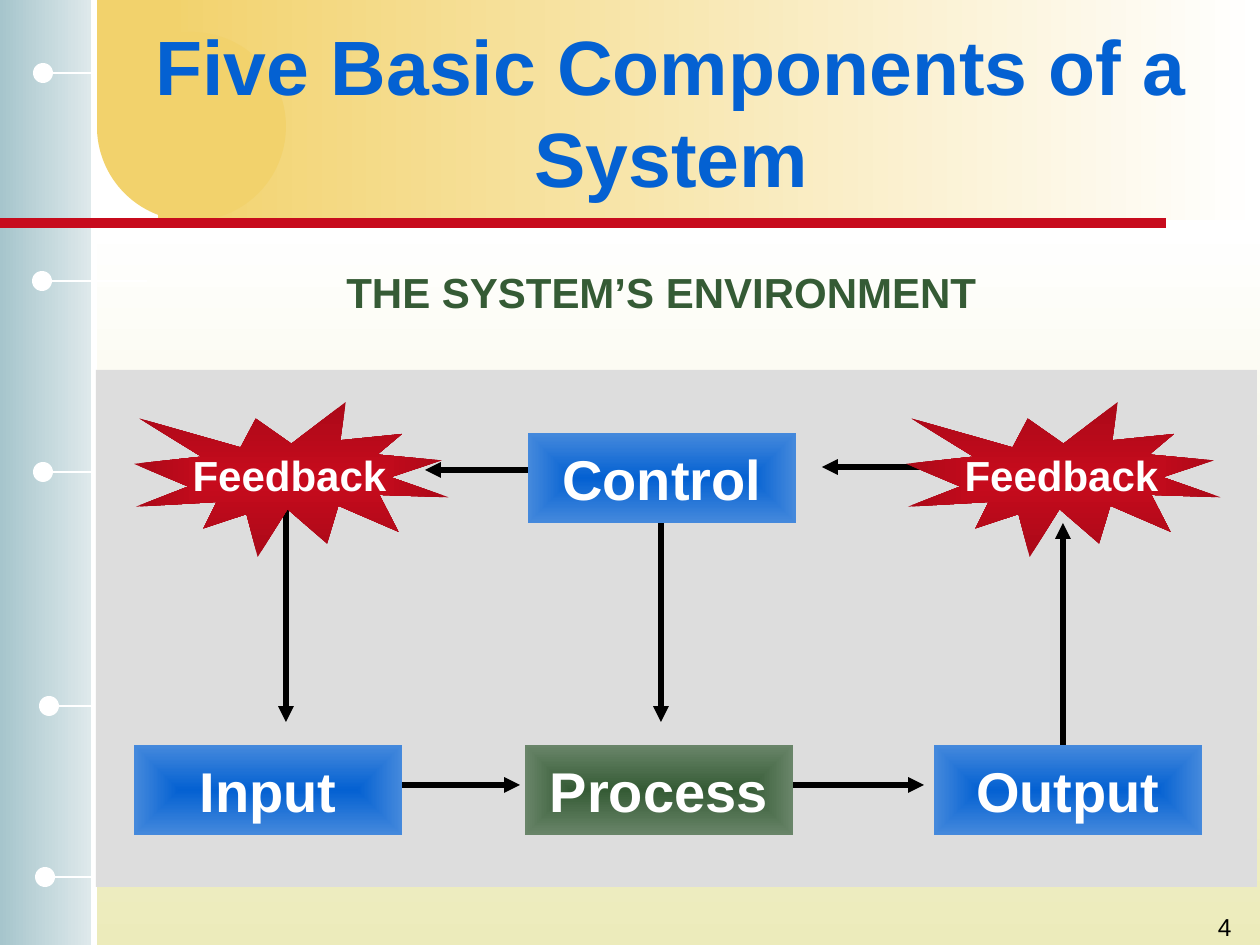
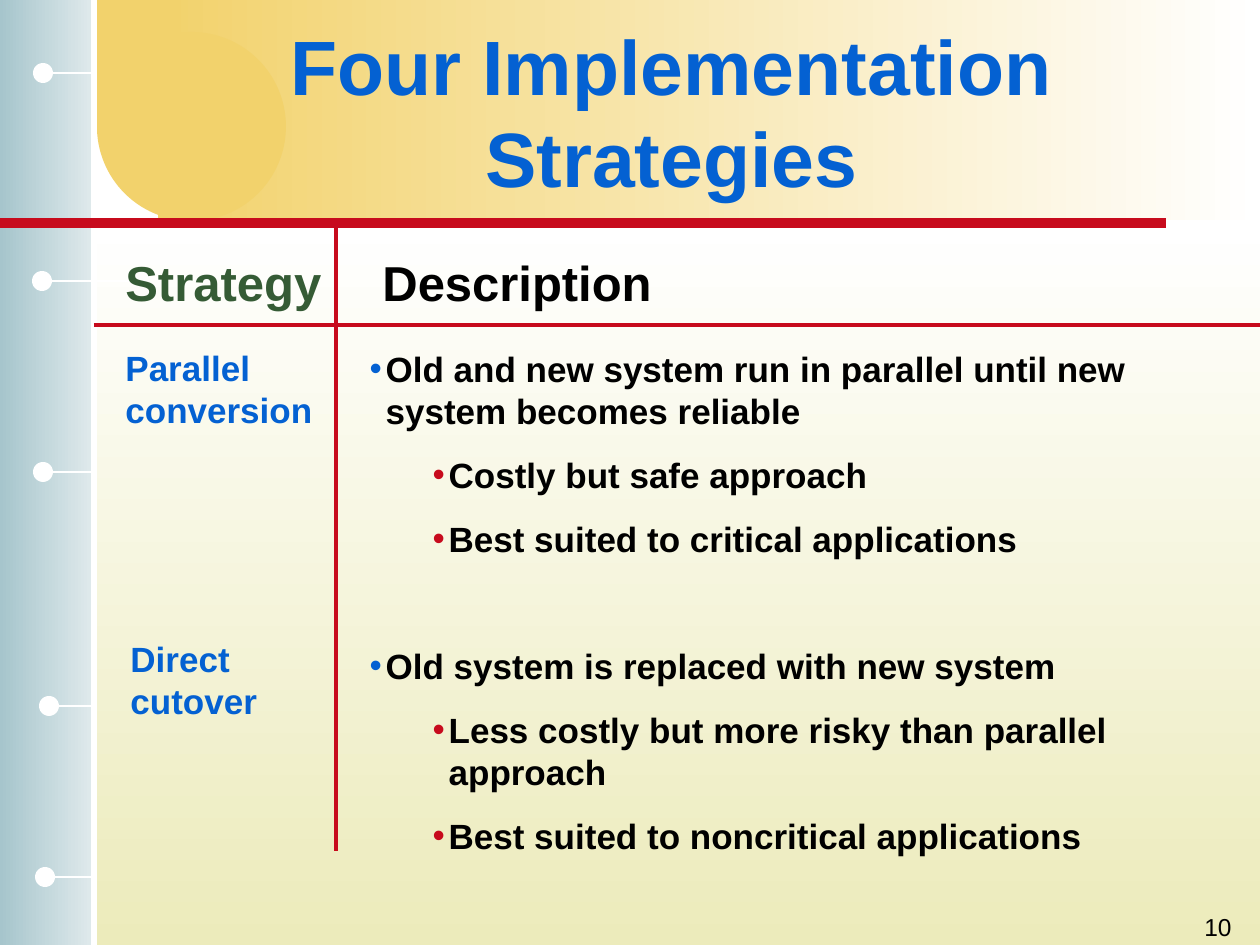
import pptx
import pptx.util
import pptx.dml.color
import pptx.enum.shapes
import pptx.enum.text
from dataclasses import dataclass
from lxml import etree
from pptx.oxml.ns import qn

Shape = pptx.enum.shapes.MSO_SHAPE
Align = pptx.enum.text.PP_ALIGN
Anchor = pptx.enum.text.MSO_ANCHOR
SCALE = 914400 / 126


@dataclass(frozen=True)
class Theme:
    font: str = "Arial"
    white: str = "FFFFFF"
    black: str = "000000"
    blue: str = "0461D2"
    sky: str = "4589DC"
    green: str = "355B35"
    sage: str = "698569"
    red: str = "C70B1D"
    wine: str = "AB0918"
    gold: str = "F2D26C"
    cream: str = "ECEBBB"
    mist: str = "E0EAEC"
    teal: str = "A6C5CC"
    grey: str = "DDDDDD"
    title: int = 44
    box: int = 32
    head: int = 28
    label: int = 24
    text: int = 20
    foot: int = 14


T = Theme()


def px(n):
    return pptx.util.Emu(round(n * SCALE))


def rgb(code):
    return pptx.dml.color.RGBColor.from_string(code)


def place(shape, box):
    shape.left, shape.top, shape.width, shape.height = map(px, box)


def add_run(para, text, size, color, bold=True):
    run = para.add_run()
    run.text = text
    font = run.font
    font.name, font.size, font.bold = T.font, pptx.util.Pt(size), bold
    font.color.rgb = rgb(color)


def paint(shape, colors, angle=None):
    """Fill with one colour, or blend two: along angle, or outward from the centre."""
    fill = shape.fill
    if len(colors) == 1:
        fill.solid()
        fill.fore_color.rgb = rgb(colors[0])
        return
    fill.gradient()
    for stop, color in zip(fill.gradient_stops, colors):
        stop.color.rgb = rgb(color)
    if angle is not None:
        fill.gradient_angle = angle
        return
    grad = shape.element.spPr.find(qn("a:gradFill"))
    grad.remove(grad.find(qn("a:lin")))
    burst = etree.SubElement(grad, qn("a:path"), path="rect")
    etree.SubElement(burst, qn("a:fillToRect"),
                     {side: "50000" for side in "ltrb"})


def add_form(slide, kind, box, *colors, angle=None):
    shape = slide.shapes.add_shape(kind, *map(px, box))
    shape.shadow.inherit = False
    shape.line.fill.background()
    paint(shape, colors, angle)
    return shape


def add_line(slide, start, end, color, width, arrow=False):
    kind = pptx.enum.shapes.MSO_CONNECTOR.STRAIGHT
    line = slide.shapes.add_connector(kind, *map(px, start + end))
    line.line.color.rgb = rgb(color)
    line.line.width = pptx.util.Pt(width)
    props = line.element.spPr
    if arrow:
        etree.SubElement(props.find(qn("a:ln")), qn("a:tailEnd"), type="triangle")
    etree.SubElement(props, qn("a:effectLst"))


def add_node(slide, kind, box, text, size, *colors):
    shape = add_form(slide, kind, box, *colors)
    frame = shape.text_frame
    frame.word_wrap = False
    frame.vertical_anchor = Anchor.MIDDLE
    para = frame.paragraphs[0]
    para.alignment = Align.CENTER
    add_run(para, text, size, T.white)


def add_note(slide, box, lines, size, color):
    frame = slide.shapes.add_textbox(*map(px, box)).text_frame
    frame.word_wrap = True
    for i, text in enumerate(lines):
        para = frame.add_paragraph() if i else frame.paragraphs[0]
        add_run(para, text, size, color)


def add_foot(slide, number):
    frame = slide.shapes.add_textbox(*map(px, (982, 906, 262, 63))).text_frame
    frame.word_wrap = True
    para = frame.paragraphs[0]
    para.alignment = Align.RIGHT
    add_run(para, number, T.foot, T.black, bold=False)


def set_title(slide, text):
    title = slide.shapes.title
    place(title, (136, 32, 1071, 158))
    frame = title.text_frame
    frame.auto_size = pptx.enum.text.MSO_AUTO_SIZE.NONE
    frame.vertical_anchor = Anchor.MIDDLE
    para = frame.paragraphs[0]
    para.alignment = Align.CENTER
    add_run(para, text, T.title, T.blue)


def set_list(body, box, items):
    """Fill the body with (level, space before, text) items."""
    place(body, box)
    frame = body.text_frame
    frame.auto_size = pptx.enum.text.MSO_AUTO_SIZE.NONE
    for i, (level, gap, text) in enumerate(items):
        para = frame.add_paragraph() if i else frame.paragraphs[0]
        para.level = level
        props = para._p.get_or_add_pPr()
        props.set("marL", str(px(16 + 63 * level)))
        props.set("indent", str(px(-16)))
        tint = etree.SubElement(props, qn("a:buClr"))
        etree.SubElement(tint, qn("a:srgbClr"), val=(T.blue, T.red)[level])
        etree.SubElement(props, qn("a:buFont"), typeface=T.font)
        etree.SubElement(props, qn("a:buChar"), char="•")
        para.space_before = pptx.util.Pt(gap)
        add_run(para, text, T.text, T.black)


def draw_frame(slide):
    add_form(slide, Shape.RECTANGLE, (92, 223, 1168, 722), T.white, T.cream, angle=270)
    add_form(slide, Shape.RECTANGLE, (0, 0, 94, 945), T.mist, T.teal, angle=180)
    add_form(slide, Shape.RECTANGLE, (158, 0, 1102, 220), T.white, T.gold, angle=180)
    add_form(slide, Shape.OVAL, (97, 32, 189, 189), T.gold)
    add_form(slide, Shape.RECTANGLE, (97, 0, 84, 121), T.gold)
    add_line(slide, (94, 0), (94, 945), T.white, 3)
    pins = [(33, 63, 94), (32, 271, 147), (33, 462, 92), (39, 696, 94), (35, 867, 92)]
    for left, top, end in pins:
        add_line(slide, (end, top + 10), (left + 10, top + 10), T.white, 1.5)
        add_form(slide, Shape.OVAL, (left, top, 20, 20), T.white)
    add_line(slide, (0, 223), (1166, 223), T.red, 6)


def share_frame(deck, slide):
    """Draw the frame on a slide and move it to the master."""
    draw_frame(slide)
    tree = deck.slide_master.shapes.element
    parts = [s for s in slide.shapes if not s.is_placeholder]
    for number, part in enumerate(parts, 100):
        part.element.xpath(".//p:cNvPr")[0].set("id", str(number))
        tree.append(part.element)


def fill_system(slide):
    set_title(slide, "Five Basic Components of a System")
    add_form(slide, Shape.RECTANGLE, (96, 370, 1161, 517), T.grey)
    arrows = [
        ((725, 785), (924, 785)), ((320, 785), (520, 785)),
        ((1063, 753), (1063, 523)), ((286, 470), (286, 722)),
        ((625, 470), (425, 470)), ((1021, 467), (822, 467)),
        ((661, 523), (661, 722)),
    ]
    for start, end in arrows:
        add_line(slide, start, end, T.black, 3, arrow=True)
    blue, green = (T.blue, T.sky), (T.green, T.sage)
    nodes = [("Control", 528, 433, blue), ("Input", 134, 745, blue),
             ("Process", 525, 745, green), ("Output", 934, 745, blue)]
    for text, left, top, colors in nodes:
        add_node(slide, Shape.RECTANGLE, (left, top, 268, 90), text, T.box, *colors)
    for left in (134, 906):
        add_node(slide, Shape.EXPLOSION1, (left, 402, 315, 155),
                 "Feedback", T.label, T.red, T.wine)
    add_note(slide, (334, 260, 670, 63), ["THE SYSTEM’S ENVIRONMENT"], T.label, T.green)
    add_foot(slide, "4")


def fill_plans(slide):
    set_title(slide, "Four Implementation Strategies")
    add_note(slide, (113, 246, 230, 72), ["Strategy"], T.head, T.green)
    add_note(slide, (370, 246, 310, 72), ["Description"], T.head, T.black)
    add_note(slide, (113, 340, 220, 181), ["Parallel", "conversion"], T.text, T.blue)
    add_note(slide, (118, 631, 170, 97), ["Direct", "cutover"], T.text, T.blue)
    add_line(slide, (336, 221), (336, 851), T.red, 2.25)
    add_line(slide, (94, 325), (1260, 325), T.red, 2.25)
    set_list(slide.placeholders[1], (357, 341, 872, 523), [
        (0, 0, "Old and new system run in parallel until new system becomes reliable"),
        (1, 12.5, "Costly but safe approach"),
        (1, 12.5, "Best suited to critical applications"),
        (0, 49, "Old system is replaced with new system"),
        (1, 12.5, "Less costly but more risky than parallel approach"),
        (1, 12.5, "Best suited to noncritical applications"),
    ])
    add_foot(slide, "10")


def main():
    deck = pptx.Presentation()
    deck.slide_width, deck.slide_height = px(1260), px(945)
    system = deck.slides.add_slide(deck.slide_layouts[5])
    share_frame(deck, system)
    fill_system(system)
    fill_plans(deck.slides.add_slide(deck.slide_layouts[1]))
    deck.save("out.pptx")


if __name__ == "__main__":
    main()
